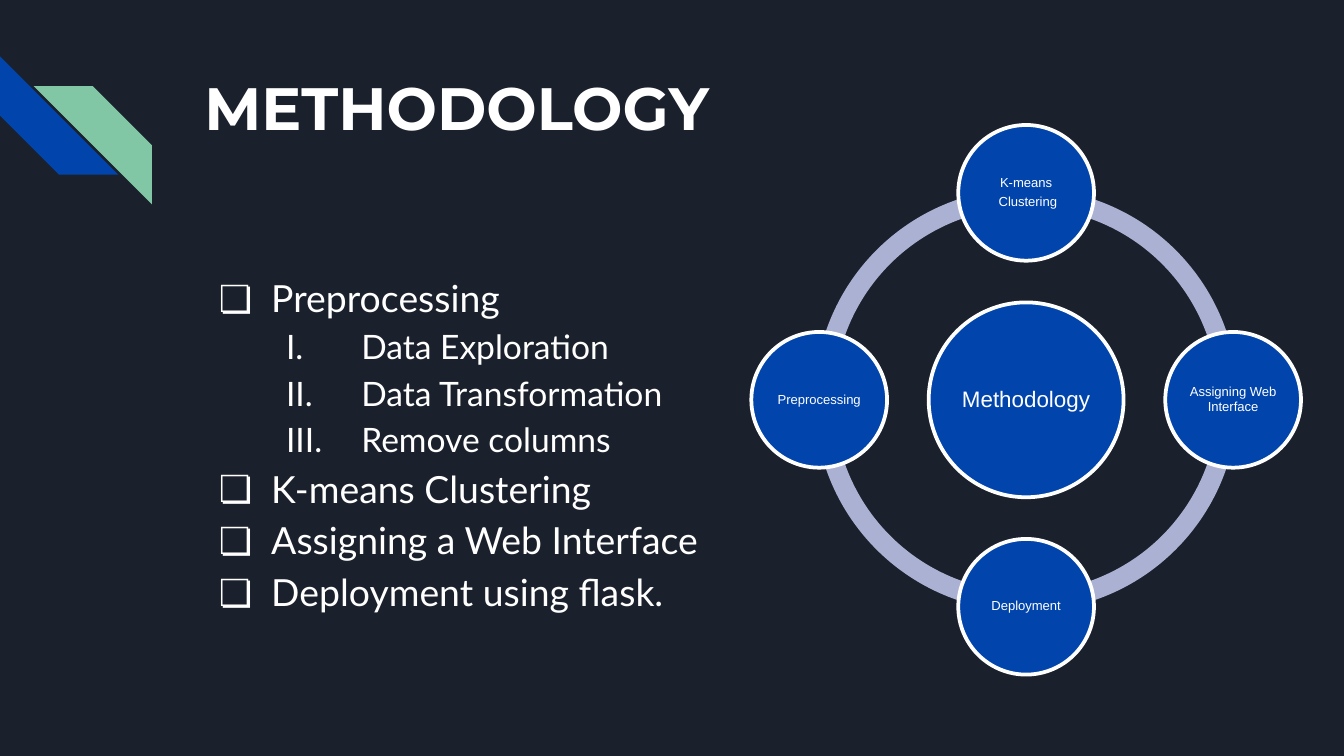
import math
from dataclasses import dataclass

from lxml import etree
from pptx import Presentation
from pptx.dml.color import RGBColor
from pptx.enum.shapes import MSO_SHAPE
from pptx.enum.text import MSO_ANCHOR, MSO_AUTO_SIZE, PP_ALIGN
from pptx.oxml.ns import qn
from pptx.util import Inches, Pt

STRIPE, ARC, CIRCLE = MSO_SHAPE.DIAGONAL_STRIPE, MSO_SHAPE.BLOCK_ARC, MSO_SHAPE.OVAL
TOP, MIDDLE = MSO_ANCHOR.TOP, MSO_ANCHOR.MIDDLE
LEFT, CENTER, JUSTIFY = PP_ALIGN.LEFT, PP_ALIGN.CENTER, PP_ALIGN.JUSTIFY
NO_FIT = MSO_AUTO_SIZE.NONE


@dataclass(frozen=True)
class Theme:
    background: str = "1B212C"
    blue: str = "0145AC"
    green: str = "82C7A5"
    ring: str = "ABB1D2"
    white: str = "FFFFFF"
    title_font: str = "Montserrat"
    body_font: str = "Lato"
    diagram_font: str = "Arial"
    title_size: int = 32
    step_size: int = 20
    substep_size: int = 18
    hub_size: int = 12
    node_size: int = 7


THEME = Theme()
TITLE_ONLY = 5

# Each step with its numbered substeps
STEPS = [
    ("Preprocessing", ["Data Exploration", "Data Transformation", "Remove columns"]),
    ("K-means Clustering", []),
    ("Assigning a Web Interface", []),
    ("Deployment using flask.", []),
]
# Clockwise from the top, one paragraph per entry
NODES = [["K-means", " Clustering"], ["Assigning Web Interface"],
         ["Deployment"], ["Preprocessing"]]


def rgb(value):
    return RGBColor.from_string(value)


def add_run(paragraph, text, font, size, bold=False):
    run = paragraph.add_run()
    run.text = text
    run.font.name = font
    run.font.size = Pt(size)
    run.font.bold = bold
    run.font.color.rgb = rgb(THEME.white)


def set_frame(frame, anchor, inset):
    frame.word_wrap = True
    frame.auto_size = NO_FIT
    frame.vertical_anchor = anchor
    frame.margin_left = frame.margin_right = Inches(inset)
    frame.margin_top = frame.margin_bottom = Inches(inset)


def next_paragraph(frame, first):
    return frame.paragraphs[0] if first else frame.add_paragraph()


def add_filled(slide, preset, left, top, size, color, adjustments=()):
    shape = slide.shapes.add_shape(
        preset, Inches(left), Inches(top), Inches(size), Inches(size))
    shape.shadow.inherit = False
    shape.fill.solid()
    shape.fill.fore_color.rgb = rgb(color)
    shape.line.fill.background()
    for index, value in enumerate(adjustments):
        shape.adjustments[index] = value
    return shape


def add_corner_stripes(slide, left, top):
    size = 0.88
    blue_stripe = add_filled(slide, STRIPE, left, top, size, THEME.blue, [0.5])
    blue_stripe.rotation = 270
    green_stripe = add_filled(
        slide, STRIPE, left + 0.25, top + 0.22, size, THEME.green, [0.5])
    green_stripe._element.spPr.find(qn("a:xfrm")).set("flipH", "1")


def place_title(slide, left, top, width, height):
    title = slide.shapes.title
    title.left, title.top = Inches(left), Inches(top)
    title.width, title.height = Inches(width), Inches(height)
    set_frame(title.text_frame, TOP, 0.1)
    heading = title.text_frame.paragraphs[0]
    heading.alignment = LEFT
    add_run(heading, "METHODOLOGY", THEME.title_font, THEME.title_size, bold=True)


def set_bullet(paragraph, margin, indent, tag, **attributes):
    props = paragraph._p.get_or_add_pPr()
    props.set("marL", str(Inches(margin)))
    props.set("indent", str(Inches(indent)))
    bullet_color = etree.SubElement(props, qn("a:buClr"))
    etree.SubElement(bullet_color, qn("a:srgbClr"), val=THEME.white)
    etree.SubElement(props, qn("a:buFont"), typeface=THEME.body_font)
    etree.SubElement(props, qn(tag), **attributes)


def add_steps(slide, left, top, width, height):
    box = slide.shapes.add_textbox(
        Inches(left), Inches(top), Inches(width), Inches(height))
    frame = box.text_frame
    set_frame(frame, TOP, 0.1)
    lines = []
    for step, substeps in STEPS:
        lines.append((step, 0))
        lines += [(substep, 1) for substep in substeps]
    for index, (text, level) in enumerate(lines):
        paragraph = next_paragraph(frame, index == 0)
        paragraph.level = level
        paragraph.alignment = JUSTIFY
        paragraph.line_spacing = 1.15
        if level:
            set_bullet(paragraph, 1.17, -0.56, "a:buAutoNum", type="romanUcPeriod")
            size = THEME.substep_size
        else:
            set_bullet(paragraph, 0.5, -0.39, "a:buChar", char="❏")
            size = THEME.step_size
        add_run(paragraph, text, THEME.body_font, size)


def add_circle(slide, center_x, center_y, diameter, labels, size, inset):
    circle = add_filled(slide, CIRCLE, center_x - diameter / 2,
                        center_y - diameter / 2, diameter, THEME.blue)
    circle.line.color.rgb = rgb(THEME.white)
    circle.line.width = Pt(2)
    set_frame(circle.text_frame, MIDDLE, inset)
    for index, label in enumerate(labels):
        paragraph = next_paragraph(circle.text_frame, index == 0)
        paragraph.alignment = CENTER
        paragraph.line_spacing = 0.9
        paragraph.space_after = Pt(0.35 * size)
        add_run(paragraph, label, THEME.diagram_font, size)


def add_cycle(slide, left, top, size):
    node_diameter, hub_diameter, ring_diameter = 1.01, 1.45, 3.15
    center_x, center_y = left + size / 2, top + size / 2
    orbit = (size - node_diameter) / 2

    # Ring of quarter arcs; a quarter turn is 54 adjustment units
    for quarter in range(4):
        add_filled(slide, ARC, center_x - ring_diameter / 2,
                   center_y - ring_diameter / 2, ring_diameter, THEME.ring,
                   [54 * quarter, 54 * ((quarter + 1) % 4), 0.046])

    # Hub and the nodes around it
    add_circle(slide, center_x, center_y, hub_diameter, ["Methodology"],
               THEME.hub_size, 0.02)
    for index, labels in enumerate(NODES):
        angle = math.tau * index / len(NODES)
        add_circle(slide, center_x + orbit * math.sin(angle),
                   center_y - orbit * math.cos(angle), node_diameter, labels,
                   THEME.node_size, 0.01)


def main():
    deck = Presentation()
    # Widescreen, 16:9
    deck.slide_width = Inches(10)
    deck.slide_height = deck.slide_width * 9 // 16
    slide = deck.slides.add_slide(deck.slide_layouts[TITLE_ONLY])
    slide.background.fill.solid()
    slide.background.fill.fore_color.rgb = rgb(THEME.background)

    add_corner_stripes(slide, 0, 0.42)
    place_title(slide, 1.42, 0.43, 7.7, 1)
    add_steps(slide, 1.42, 1.9, 7.7, 3.33)
    add_cycle(slide, 5.59, 0.93, 4.09)
    deck.save("out.pptx")


if __name__ == "__main__":
    main()
